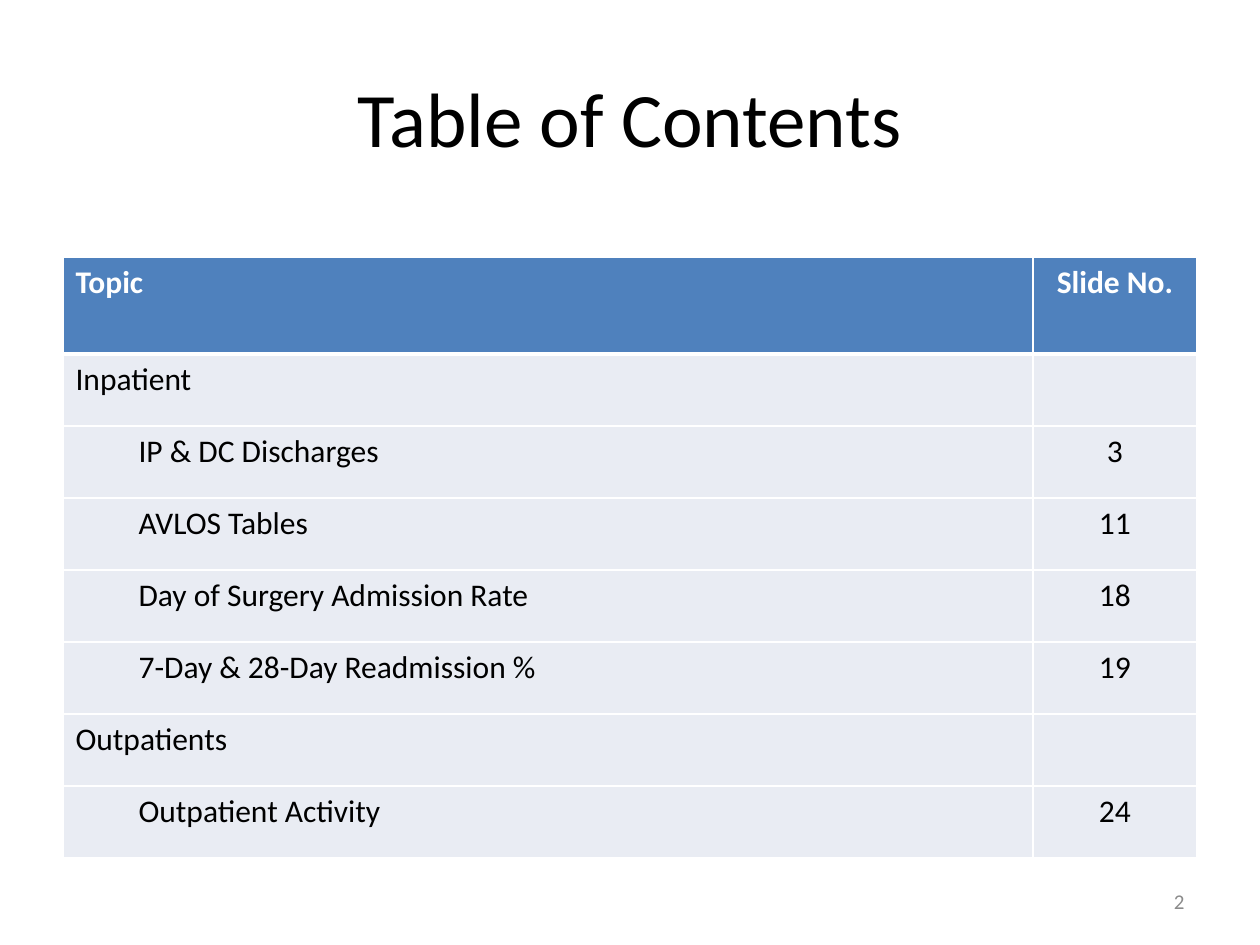
from lxml import etree
from pptx import Presentation
from pptx.dml.color import RGBColor
from pptx.enum.text import MSO_ANCHOR, PP_ALIGN
from pptx.oxml.ns import qn
from pptx.util import Pt

PX = 914400 // 126
LEFT, CENTER, RIGHT = PP_ALIGN.LEFT, PP_ALIGN.CENTER, PP_ALIGN.RIGHT
MIDDLE = MSO_ANCHOR.MIDDLE
FONT = "Calibri"
COLORS = {
    "head": "4F81BD",
    "body": "E9ECF3",
    "line": "FFFFFF",
    "text": "000000",
    "page": "8B8B8B",
}
THIN, THICK = 0.96, 3
INDENT = 63
COLS = [970, 164]
HEAD, ROW = 97, 72
TOPICS = [
    ("Topic", "Slide No.", 0),
    ("Inpatient", "", 0),
    ("IP & DC Discharges", "3", 1),
    ("AVLOS Tables", "11", 1),
    ("Day of Surgery Admission Rate", "18", 1),
    ("7-Day & 28-Day Readmission %", "19", 1),
    ("Outpatients", "", 0),
    ("Outpatient Activity", "24", 1),
]


def px(n):
    return n * PX


def rgb(name):
    return RGBColor.from_string(COLORS[name])


def style(frame, text, size, color, align, bold=False):
    frame.text = text
    para = frame.paragraphs[0]
    para.alignment = align
    for font in [para.font] + [run.font for run in para.runs]:
        font.name = FONT
        font.size = Pt(size)
        font.bold = bold
        font.color.rgb = rgb(color)
    return para


def add_text(slide, box, text, size, color, align):
    frame = slide.shapes.add_textbox(*map(px, box)).text_frame
    frame.word_wrap = True
    frame.vertical_anchor = MIDDLE
    style(frame, text, size, color, align)


def set_edges(cell, top, bottom):
    props = cell._tc.get_or_add_tcPr()
    edges = {"lnL": THIN, "lnR": THIN, "lnT": top, "lnB": bottom}
    for spot, (tag, width) in enumerate(edges.items()):
        line = etree.Element(qn("a:" + tag), w=str(Pt(width)))
        fill = etree.SubElement(line, qn("a:solidFill"))
        etree.SubElement(fill, qn("a:srgbClr"), val=COLORS["line"])
        props.insert(spot, line)


def fill_cell(cell, text, row, align, level):
    head = row == 0
    color = "line" if head else "text"
    para = style(cell.text_frame, text, 18, color, align, head)
    if level:
        para._p.get_or_add_pPr().set("marL", str(px(INDENT * level)))
    cell.fill.solid()
    cell.fill.fore_color.rgb = rgb("head" if head else "body")
    set_edges(cell, THICK if row == 1 else THIN, THICK if head else THIN)


def add_topics(slide, left, top):
    rows = [HEAD] + [ROW] * (len(TOPICS) - 1)
    box = map(px, (left, top, sum(COLS), sum(rows)))
    table = slide.shapes.add_table(len(rows), len(COLS), *box).table
    for col, width in zip(table.columns, COLS):
        col.width = px(width)
    for row, (topic, page, level) in enumerate(TOPICS):
        table.rows[row].height = px(rows[row])
        fill_cell(table.cell(row, 0), topic, row, LEFT, level)
        fill_cell(table.cell(row, 1), page, row, CENTER, 0)


def main():
    deck = Presentation()
    deck.slide_width, deck.slide_height = px(1260), px(945)
    slide = deck.slides.add_slide(deck.slide_layouts[6])
    add_text(slide, (63, 38, 1134, 157), "Table of Contents", 44, "text", CENTER)
    add_topics(slide, 63, 257)
    add_text(slide, (903, 876, 294, 50), "2", 12, "page", RIGHT)
    deck.save("out.pptx")


if __name__ == "__main__":
    main()
